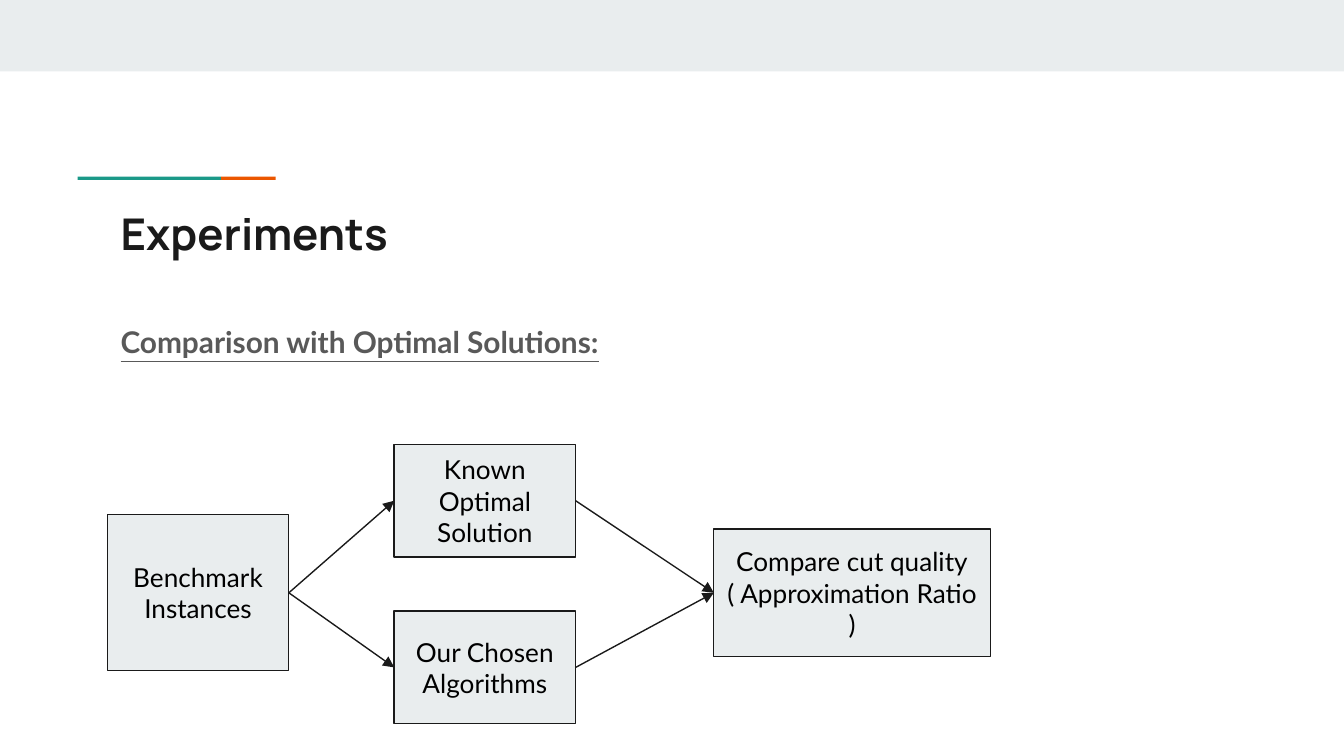
from lxml.etree import SubElement
from pptx import Presentation
from pptx.dml.color import RGBColor
from pptx.enum.shapes import MSO_CONNECTOR, MSO_SHAPE
from pptx.enum.text import MSO_ANCHOR, MSO_AUTO_SIZE, PP_ALIGN
from pptx.oxml.ns import qn
from pptx.util import Cm, Pt

PALE = RGBColor(0xE9, 0xED, 0xEE)
TEAL = RGBColor(0x1A, 0x99, 0x88)
ORANGE = RGBColor(0xEB, 0x56, 0x00)
INK = RGBColor(0x1A, 0x1A, 0x1A)
GREY = RGBColor(0x59, 0x59, 0x59)
BLACK = RGBColor(0, 0, 0)

TITLE = "Experiments"
SUBTITLE = "Comparison with Optimal Solutions:"

# Left, top, width, height in cm, and colour
BANDS = [
    (0, 0, 25.4, 1.35, PALE),
    (1.47, 3.34, 2.71, 0.06, TEAL),
    (4.18, 3.34, 1.03, 0.06, ORANGE),
]
# Left, top, width, height in cm, and lines of text
STEPS = {
    "benchmark": (2.03, 9.73, 3.43, 2.95, ["Benchmark Instances"]),
    "optimal": (7.45, 8.4, 3.43, 2.13, ["Known Optimal Solution"]),
    "algorithms": (7.45, 11.55, 3.43, 2.13, ["Our Chosen", "Algorithms"]),
    "compare": (13.49, 10, 5.23, 2.41,
                ["Compare cut quality", "( Approximation Ratio )"]),
}
FLOWS = [
    ("benchmark", "optimal"),
    ("benchmark", "algorithms"),
    ("optimal", "compare"),
    ("algorithms", "compare"),
]
LEFT_SITE, RIGHT_SITE = 1, 3


def add_rectangle(page, left, top, width, height, colour):
    box = page.shapes.add_shape(MSO_SHAPE.RECTANGLE, Cm(left), Cm(top),
                                Cm(width), Cm(height))
    box.shadow.inherit = False
    box.fill.solid()
    box.fill.fore_color.rgb = colour
    box.line.fill.background()
    return box


def write(shape, lines, font, size, colour, bold=False,
          align=PP_ALIGN.LEFT, anchor=MSO_ANCHOR.TOP):
    frame = shape.text_frame
    frame.text = "\n".join(lines)
    frame.word_wrap = True
    frame.auto_size = MSO_AUTO_SIZE.NONE
    frame.vertical_anchor = anchor
    frame.margin_left = frame.margin_right = Cm(0.25)
    frame.margin_top = frame.margin_bottom = Cm(0.25)
    for para in frame.paragraphs:
        para.alignment = align
        para.space_before = Pt(0)
        para.font.name = font
        para.font.size = Pt(size)
        para.font.bold = bold
        para.font.color.rgb = colour
    return frame.paragraphs


def place(shape, left, top, width, height):
    shape.left, shape.top = Cm(left), Cm(top)
    shape.width, shape.height = Cm(width), Cm(height)


def add_step(page, left, top, width, height, lines):
    box = add_rectangle(page, left, top, width, height, PALE)
    box.line.color.rgb = INK
    box.line.width = Pt(0.75)
    write(box, lines, "Lato", 14, BLACK,
          align=PP_ALIGN.CENTER, anchor=MSO_ANCHOR.MIDDLE)
    return box


def add_arrow(page, source, target):
    arrow = page.shapes.add_connector(MSO_CONNECTOR.STRAIGHT, 0, 0, 0, 0)
    arrow.begin_connect(source, RIGHT_SITE)
    arrow.end_connect(target, LEFT_SITE)
    arrow.line.color.rgb = INK
    arrow.line.width = Pt(0.75)
    properties = arrow._element.spPr
    SubElement(properties.find(qn("a:ln")), qn("a:tailEnd"), type="triangle")
    SubElement(properties, qn("a:effectLst"))


def main():
    deck = Presentation()
    deck.slide_width, deck.slide_height = Cm(25.4), Cm(14.29)
    page = deck.slides.add_slide(deck.slide_layouts[1])

    for band in BANDS:
        add_rectangle(page, *band)

    title, body = page.placeholders
    place(title, 2.03, 3.66, 21.36, 1.5)
    write(title, [TITLE], "Manrope", 23.4, INK, bold=True)

    place(body, 2.03, 5.77, 21.36, 3.96)
    subtitle = write(body, [SUBTITLE], "Lato", 16, GREY, bold=True)[0]
    subtitle.font.underline = True
    subtitle.line_spacing = 1.15
    subtitle.space_after = Pt(12)
    properties = subtitle._p.get_or_add_pPr()
    properties.set("marL", "0")
    properties.set("indent", "0")
    bullet = SubElement(properties, qn("a:buNone"))
    properties.find(qn("a:defRPr")).addprevious(bullet)

    boxes = {name: add_step(page, *step) for name, step in STEPS.items()}
    for source, target in FLOWS:
        add_arrow(page, boxes[source], boxes[target])

    deck.save("out.pptx")


if __name__ == "__main__":
    main()
